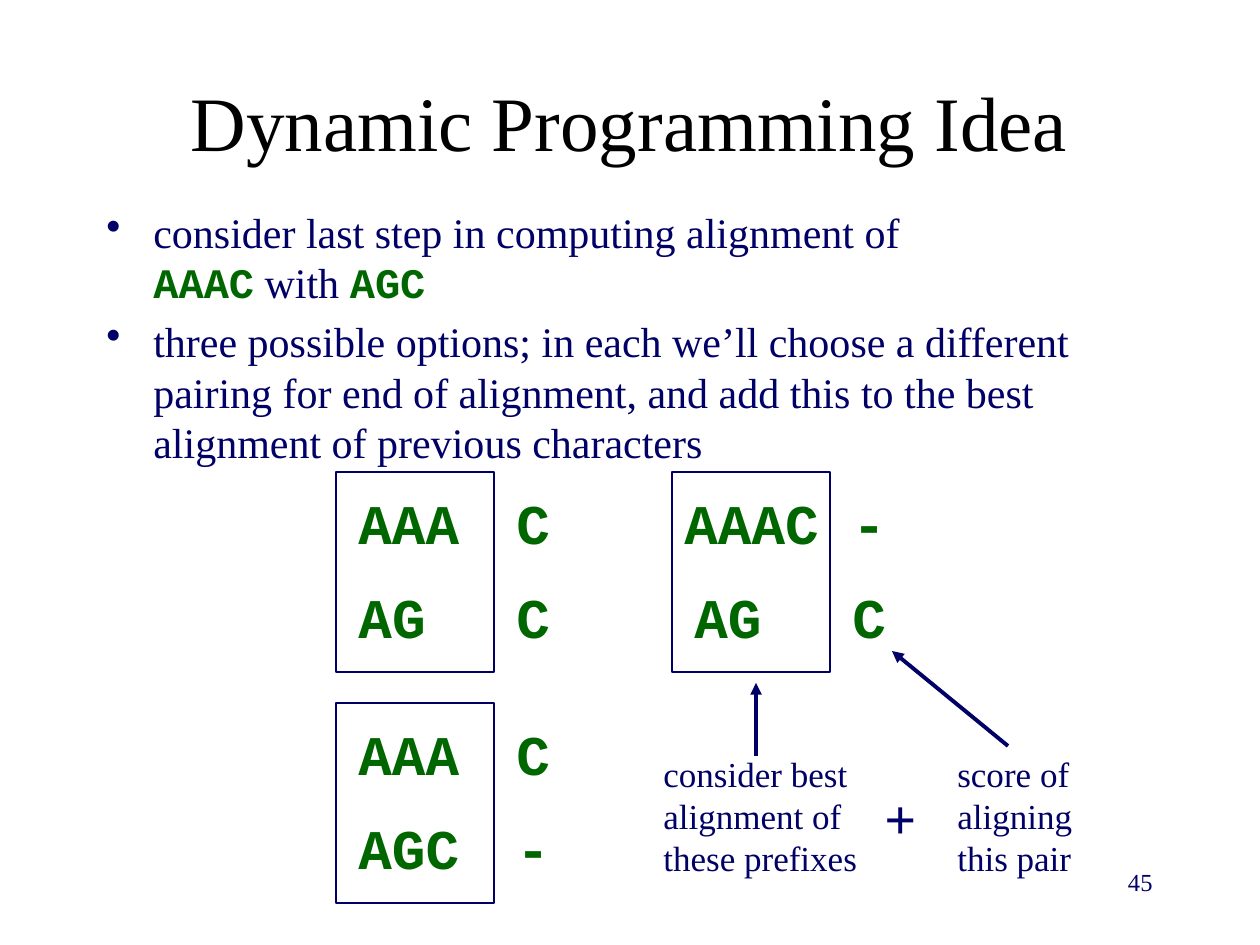
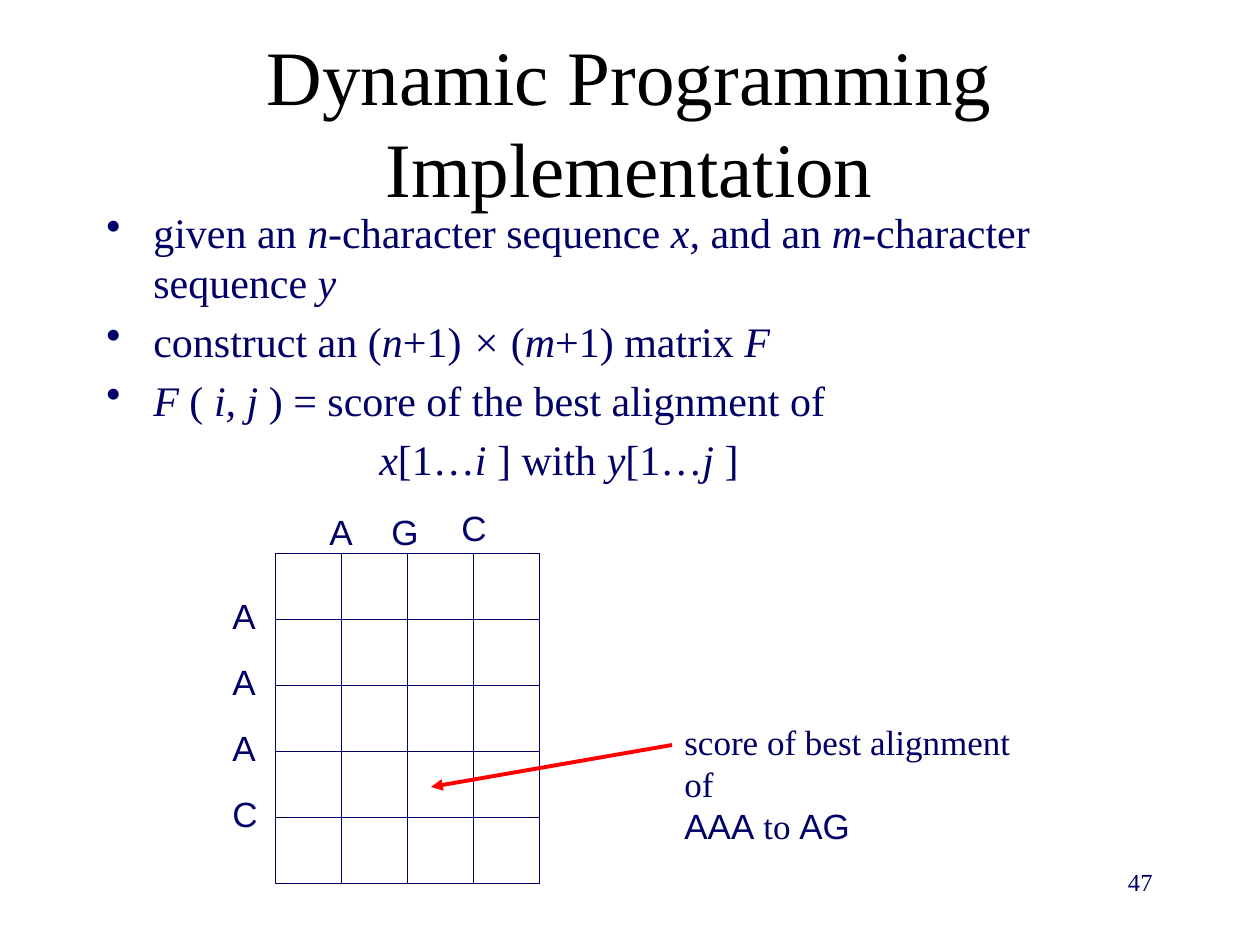
import pptx
import pptx.dml.color
import pptx.enum.shapes
import pptx.enum.text
import pptx.oxml
import pptx.oxml.ns
import pptx.util

SCALE = 914400 / 126
NAVY = pptx.dml.color.RGBColor(0x00, 0x00, 0x66)
GREEN = pptx.dml.color.RGBColor(0x00, 0x66, 0x00)
RED = pptx.dml.color.RGBColor(0xFF, 0x00, 0x00)
BLACK = pptx.dml.color.RGBColor(0x00, 0x00, 0x00)

SERIF = {"name": "Times New Roman", "bold": False, "italic": False, "color": NAVY}
TITLE = SERIF | {"size": 44, "color": BLACK}
BODY = SERIF | {"size": 24}
ITALIC = BODY | {"italic": True}
NOTE = SERIF | {"size": 20}
LABEL = NOTE | {"name": "Arial"}
PLUS = SERIF | {"size": 32, "bold": True}
NUMBER = SERIF | {"size": 14}
CODE = BODY | {"name": "Courier New", "bold": True, "color": GREEN}
LETTERS = CODE | {"size": 32}

TITLE_BOX = (94, 42, 1071, 158)
NUMBER_BOX = (903, 861, 262, 63)
BULLET_INDENT = 47
FORMULA_INDENT = 273
LINE_BREAK = "\n"


def px(length):
    """Turn a length in px into EMU."""
    return pptx.util.Emu(round(length * SCALE))


def place(box):
    """Turn a box in px into EMU."""
    return [px(length) for length in box]


def apply_style(font, style):
    """Set the values of a style on a font."""
    values = dict(style)
    font.color.rgb = values.pop("color")
    values["size"] = pptx.util.Pt(values["size"])
    for name, value in values.items():
        setattr(font, name, value)


def fill_para(para, spans):
    """Write (text, style) spans into a paragraph."""
    for text, style in spans:
        if text == LINE_BREAK:
            para.add_line_break()
        elif text:
            span = para.add_run()
            span.text = text
            apply_style(span.font, style)


def fill_frame(frame, paras, wrap=True):
    """Write paragraphs of spans into a text frame and return them."""
    frame.auto_size = pptx.enum.text.MSO_AUTO_SIZE.NONE
    frame.word_wrap = wrap
    for index, spans in enumerate(paras):
        para = frame.add_paragraph() if index else frame.paragraphs[0]
        fill_para(para, spans)
    return frame.paragraphs


def add_text(shapes, box, paras, wrap=True):
    """Add a text box and return its paragraphs."""
    return fill_frame(shapes.add_textbox(*place(box)).text_frame, paras, wrap)


def add_frame(shapes, box, width):
    """Add an unfilled navy rectangle."""
    shape = shapes.add_shape(pptx.enum.shapes.MSO_SHAPE.RECTANGLE, *place(box))
    shape.shadow.inherit = False
    shape.fill.background()
    shape.line.color.rgb = NAVY
    shape.line.width = pptx.util.Pt(width)


def add_arrow(page, start, end, color):
    """Add a straight arrow from start to end."""
    arrow = page.shapes.add_connector(
        pptx.enum.shapes.MSO_CONNECTOR.STRAIGHT, *place(start + end))
    arrow.line.color.rgb = color
    arrow.line.width = pptx.util.Pt(2.25)
    properties = arrow._element.spPr
    head = pptx.oxml.ns.qn("a:tailEnd")
    line = properties.find(pptx.oxml.ns.qn("a:ln"))
    line.append(line.makeelement(head, {"type": "triangle"}))
    effects = pptx.oxml.ns.qn("a:effectLst")
    properties.append(properties.makeelement(effects, {}))


def indent_para(para, margin, bullet):
    """Indent a body paragraph, with a hanging bullet if asked."""
    para.space_before = pptx.util.Pt(5)
    properties = para._p.get_or_add_pPr()
    properties.set("marL", str(px(margin)))
    if bullet:
        properties.set("indent", str(px(-margin)))
        mark = pptx.oxml.ns.qn("a:buChar")
        properties.append(properties.makeelement(mark, {"char": "•"}))


def add_body(page, box, bullets, formula=None):
    """Add the bullets and an optional indented formula under them."""
    paras = add_text(page.shapes, box, bullets + ([formula] if formula else []))
    for index, para in enumerate(paras):
        bullet = index < len(bullets)
        indent_para(para, BULLET_INDENT if bullet else FORMULA_INDENT, bullet)


def alternate(*texts):
    """Make body spans that switch between roman and italic."""
    return [(text, (BODY, ITALIC)[index % 2]) for index, text in enumerate(texts)]


def add_page(deck, title, number):
    """Add a slide with its title and page number."""
    page = deck.slides.add_slide(deck.slide_layouts[5])
    heading = page.shapes.title
    heading.left, heading.top, heading.width, heading.height = place(TITLE_BOX)
    heading.text_frame.vertical_anchor = pptx.enum.text.MSO_ANCHOR.MIDDLE
    para = fill_frame(heading.text_frame, [[(title, TITLE)]])[0]
    para.alignment = pptx.enum.text.PP_ALIGN.CENTER
    para = add_text(page.shapes, NUMBER_BOX, [[(number, NUMBER)]])[0]
    para.alignment = pptx.enum.text.PP_ALIGN.RIGHT
    return page


def add_option(page, left, top, prefixes, pair):
    """Add one alignment option: framed prefixes and the last pair."""
    shapes = page.shapes.add_group_shape().shapes
    for row, (prefix, last) in enumerate(zip(prefixes, pair)):
        prefix_offset = 0 if len(prefix) == 4 else 10
        for offset, text in ((prefix_offset, prefix), (168, last)):
            box = (left + offset, top + 10 + 94 * row, 25 + 34 * len(text), 79)
            add_text(shapes, box, [[(text, LETTERS)]], wrap=False)
    add_frame(shapes, (left, top, 158, 200), 0.75)


def add_score_notes(page, left, top):
    """Add the sum of the two scores and the arrows to their parts."""
    notes = (
        (0, 219, ("consider best", "alignment of", "these prefixes")),
        (294, 140, ("score of", "aligning", "this pair")),
    )
    for offset, width, lines in notes:
        paras = [[(line, NOTE)] for line in lines]
        add_text(page.shapes, (left + offset, top, width, 139), paras, wrap=False)
    add_text(page.shapes, (left + 221, top + 31, 57, 79), [[("+", PLUS)]], wrap=False)
    add_arrow(page, (left + 105, top + 10), (left + 105, top - 63), NAVY)
    add_arrow(page, (left + 357, top), (left + 241, top - 95), NAVY)


def add_matrix(page, left, top, cell):
    """Add the empty score matrix with its column and row letters."""
    shapes = page.shapes.add_group_shape().shapes
    columns = (("A", 42, -49, 49), ("G", 104, -49, 53), ("C", 174, -53, 50))
    rows = [(letter, -55, 35 + cell * row, 50) for row, letter in enumerate("AAAC")]
    for letter, across, down, width in (*columns, *rows):
        box = (left + across, top + down, width, 54)
        add_text(shapes, box, [[(letter, LABEL)]], wrap=False)
    for row in range(5):
        for column in range(4):
            box = (left + cell * column, top + cell * row, cell, cell)
            add_frame(shapes, box, 0.25)


def add_cell_note(page, left, top):
    """Add the note on one matrix cell and the arrow to it."""
    paras = [
        [("score of best alignment of", NOTE)],
        [("AAA", LABEL), (" to ", NOTE), ("AG", LABEL)],
    ]
    add_text(page.shapes, (left, top, 380, 139), paras)
    add_arrow(page, (left, top + 31), (left - 241, top + 73), RED)


def build_idea(deck):
    """Build the slide on the three options of the last step."""
    page = add_page(deck, "Dynamic Programming Idea", "45")
    add_body(page, (94, 200, 1071, 567), [
        [("consider last step in computing alignment of", BODY), (LINE_BREAK, BODY),
         ("AAAC", CODE), (" with ", BODY), ("AGC", CODE)],
        [("three possible options; in each we’ll choose a different pairing for end "
          "of alignment, and add this to the best alignment of previous characters",
          BODY)],
    ])
    add_option(page, 336, 472, ("AAA", "AG"), "CC")
    add_option(page, 672, 472, ("AAAC", "AG"), "-C")
    add_option(page, 336, 703, ("AAA", "AGC"), "C-")
    add_score_notes(page, 651, 746)


def build_implementation(deck):
    """Build the slide on the score matrix."""
    page = add_page(deck, "Dynamic Programming Implementation", "47")
    bullets = [
        alternate("given an ", "n", "-character sequence ", "x, ", "and an ", "m",
                  "-character sequence ", "y"),
        alternate("construct an (", "n", "+1) ", "× ", "(", "m", "+1) matrix ", "F"),
        alternate("", "F ", "( ", "i, j ", ") = score of the best alignment of"),
    ]
    formula = alternate("", "x", "[1…", "i ", "] with ", "y", "[1…", "j", " ]")
    add_body(page, (94, 200, 1071, 305), bullets, formula)
    add_matrix(page, 275, 553, 66)
    add_cell_note(page, 672, 714)


def main():
    """Build and save the deck."""
    deck = pptx.Presentation()
    deck.slide_width, deck.slide_height = place((1260, 945))
    build_idea(deck)
    build_implementation(deck)
    deck.save("out.pptx")


if __name__ == "__main__":
    main()
